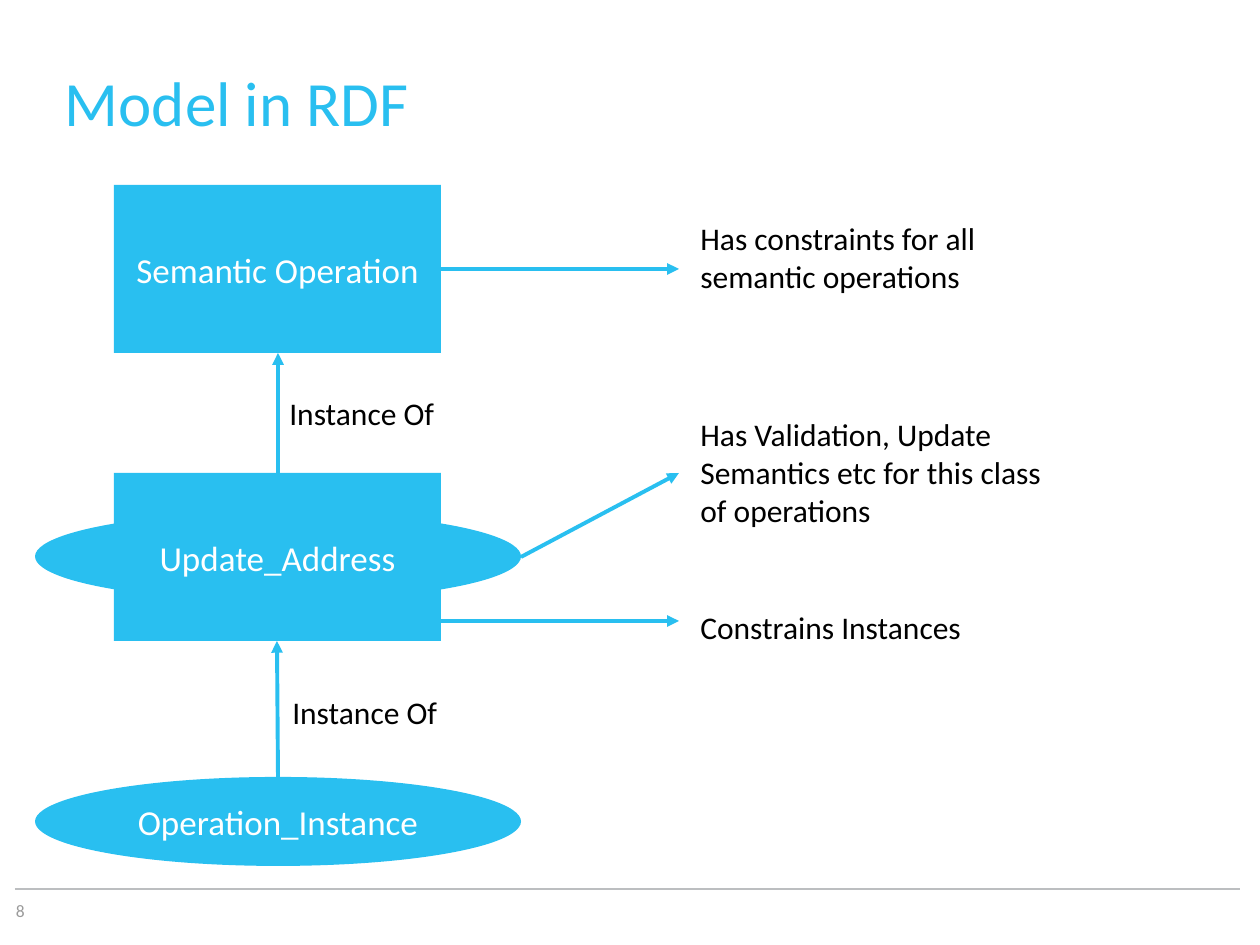
from pptx import Presentation
from pptx.dml.color import RGBColor
from pptx.enum.shapes import MSO_CONNECTOR, MSO_SHAPE
from pptx.enum.text import MSO_ANCHOR, MSO_AUTO_SIZE, PP_ALIGN
from pptx.oxml.ns import qn
from pptx.util import Pt
from lxml.etree import SubElement

PX = 914400 / 126
THEME = dict(
    font="Calibri", blue="29BFF0", white="FFFFFF", black="000000",
    gray="9B9B9B", rule="BCBEC0",
    title=36, lead=42, node=20, note=18, foot=10, line=2.25, thin=0.75,
)

deck = Presentation()
deck.slide_width, deck.slide_height = round(1260 * PX), round(945 * PX)
slide = deck.slides.add_slide(deck.slide_layouts[6])
shapes = slide.shapes


def write(text, box=None, shape=None, size=THEME["note"], color=THEME["black"],
          align=PP_ALIGN.LEFT, anchor=MSO_ANCHOR.TOP, wrap=True, grow=False,
          inset=True, lead=None):
    """Put text into a shape, or into a new text box at box (in px)."""
    shape = shape or shapes.add_textbox(*[round(n * PX) for n in box])
    frame = shape.text_frame
    frame.word_wrap = wrap
    frame.vertical_anchor = anchor
    frame.auto_size = MSO_AUTO_SIZE.SHAPE_TO_FIT_TEXT if grow else MSO_AUTO_SIZE.NONE
    if not inset:
        frame.margin_left = frame.margin_right = 0
        frame.margin_top = frame.margin_bottom = 0
    par = frame.paragraphs[0]
    par.alignment = align
    if lead:
        par.line_spacing = Pt(lead)
    run = par.add_run()
    run.text = text
    run.font.name = THEME["font"]
    run.font.size = Pt(size)
    run.font.color.rgb = RGBColor.from_string(color)


def draw_line(ends, color=THEME["blue"], width=THEME["line"], arrow=True):
    line = shapes.add_connector(MSO_CONNECTOR.STRAIGHT, *[round(n * PX) for n in ends])
    line.line.color.rgb = RGBColor.from_string(color)
    line.line.width = Pt(width)
    props = line._element.spPr
    if arrow:
        SubElement(props.find(qn("a:ln")), qn("a:tailEnd"), type="triangle")
    SubElement(props, qn("a:effectLst"))


# Footer and title
draw_line((15, 889, 1240, 889), color=THEME["rule"], width=THEME["thin"], arrow=False)
write("8", (16, 900, 39, 25), size=THEME["foot"], color=THEME["gray"], inset=False)
write("Model in RDF", (65, 66, 893, 149), size=THEME["title"], color=THEME["blue"],
      inset=False, lead=THEME["lead"])

# Nodes, from back to front
oval, rect = MSO_SHAPE.OVAL, MSO_SHAPE.RECTANGLE
nodes = [
    (oval, (35, 512, 486, 89), None),
    (rect, (114, 185, 327, 168), "Semantic Operation"),
    (rect, (114, 473, 327, 168), "Update_Address"),
    (oval, (35, 777, 486, 89), "Operation_Instance"),
]
for kind, box, text in nodes:
    node = shapes.add_shape(kind, *[round(n * PX) for n in box])
    node.shadow.inherit = False
    node.fill.solid()
    node.fill.fore_color.rgb = RGBColor.from_string(THEME["blue"])
    node.line.fill.background()
    if text:
        write(text, shape=node, size=THEME["node"], color=THEME["white"],
              align=PP_ALIGN.CENTER, anchor=MSO_ANCHOR.MIDDLE)

# Arrows between nodes and out to the notes
for ends in [
    (278, 473, 278, 353),
    (278, 777, 277, 641),
    (521, 557, 679, 473),
    (441, 621, 679, 621),
    (441, 269, 679, 269),
]:
    draw_line(ends)

# Arrow labels and notes
for text, box, wrap in [
    ("Instance Of", (277, 388, 174, 51), False),
    ("Instance Of", (280, 687, 174, 51), False),
    ("Constrains Instances", (688, 602, 291, 51), False),
    ("Has Validation, Update Semantics etc for this class of operations",
     (688, 409, 398, 127), True),
    ("Has constraints for all semantic operations", (688, 213, 338, 89), True),
]:
    write(text, box, wrap=wrap, grow=True)

deck.save("out.pptx")
